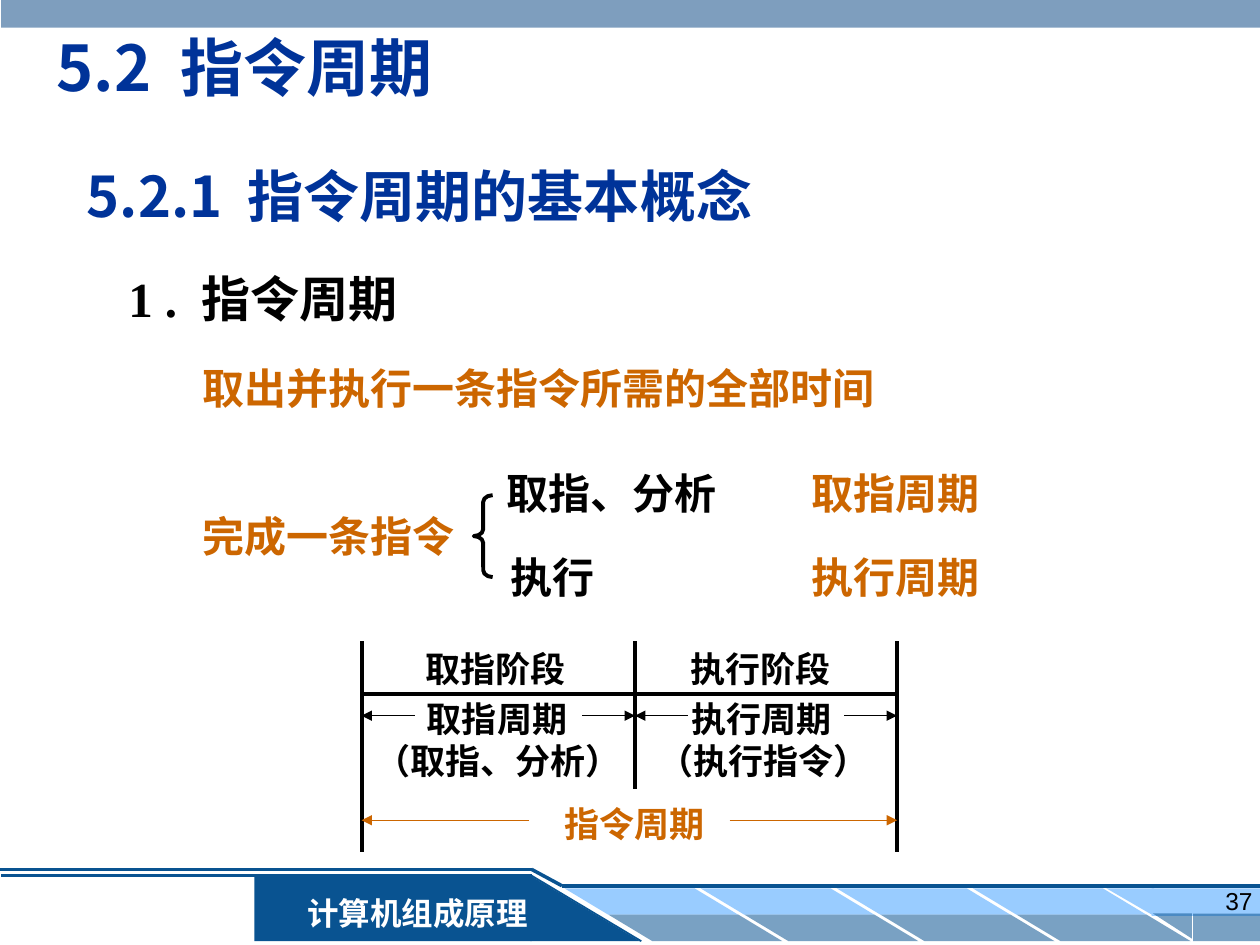
from lxml import etree
from pptx import Presentation
from pptx import util as u
from pptx.dml.color import RGBColor
from pptx.enum import shapes, text
from pptx.oxml import ns

BLACK = RGBColor(0, 0, 0)
WHITE = RGBColor(255, 255, 255)
TITLE_BLUE = RGBColor(0x00, 0x33, 0x99)
ORANGE = RGBColor(0xCC, 0x66, 0x00)
NAVY = RGBColor(0x09, 0x53, 0x91)
SKY = RGBColor(0x99, 0xCC, 0xFF)
STEEL = RGBColor(0x33, 0x66, 0x99)
SERIF, SANS = "Times New Roman", "Noto Sans CJK SC"
SHAPE = shapes.MSO_SHAPE

presentation = Presentation()
presentation.slide_width = u.Inches(10)
presentation.slide_height = u.Inches(7.5)
slide = presentation.slides.add_slide(presentation.slide_layouts[5])


def write(content, at, size=24, color=BLACK, font=SERIF, bold=True, wrap=True,
          align=text.PP_ALIGN.LEFT, anchor=text.MSO_ANCHOR.TOP, box=None):
    box = box or slide.shapes.add_textbox(0, 0, 0, 0)
    box.left, box.top, box.width, box.height = map(u.Inches, at)
    frame = box.text_frame
    frame.word_wrap = wrap
    frame.vertical_anchor = anchor
    paragraph = frame.paragraphs[0]
    paragraph.alignment = align
    run = paragraph.add_run()
    run.text = content
    run.font.size, run.font.bold = u.Pt(size), bold
    run.font.color.rgb = color
    run.font.name = font
    east_asian = etree.SubElement(run.font._element, ns.qn("a:ea"))
    east_asian.set("typeface", SANS)


def draw(kind, at, color, alpha=None, flip="", adjust=None, width=None, arrow=False):
    """Draw a filled preset, or a line from (x1, y1) to (x2, y2) if kind is "line"."""
    if kind == "line":
        line = slide.shapes.add_connector(shapes.MSO_CONNECTOR.STRAIGHT, *map(u.Inches, at))
        line.line.color.rgb, line.line.width = color, u.Pt(width)
        if arrow:
            etree.SubElement(line.line._get_or_add_ln(), ns.qn("a:tailEnd")).set("type", "triangle")
        etree.SubElement(line._element.spPr, ns.qn("a:effectLst"))
        return
    shape = slide.shapes.add_shape(kind, *map(u.Inches, at))
    shape.shadow.inherit = False
    if adjust is not None:
        shape.adjustments[0] = adjust
    if width:
        shape.fill.background()
        shape.line.color.rgb, shape.line.width = color, u.Pt(width)
    else:
        shape.fill.solid()
        shape.fill.fore_color.rgb = color
        shape.line.fill.background()
    if alpha:
        tone = shape._element.spPr.find(ns.qn("a:solidFill"))[0]
        etree.SubElement(tone, ns.qn("a:alpha")).set("val", str(alpha * 1000))
    for axis in flip:
        shape._element.spPr.xfrm.set("flip" + axis, "1")


# Footer and top band
draw(SHAPE.RECTANGLE, (2.02, 6.95, 2.2, 0.52), NAVY)
for ends, width in (((5.09, 7.47, 4.22, 6.95), 1), ((4.22, 6.95, 0.01, 6.95), 1.5),
                    ((0, 6.9, 4.22, 6.9), 2)):
    draw("line", ends, NAVY, width=width)
for tile in range(4):
    left = 4.48 + 1.08 * tile
    draw(SHAPE.PARALLELOGRAM, (left, 7.05, 1.38, 0.21), SKY, flip="H", adjust=1.66)
    draw(SHAPE.PARALLELOGRAM, (left + 0.35, 7.26, 1.38, 0.21), NAVY, 54, "H", 1.66)
draw(SHAPE.RECTANGLE, (9.14, 7.05, 0.86, 0.22), SKY)
draw(SHAPE.RIGHT_TRIANGLE, (8.78, 7.05, 0.38, 0.22), SKY, flip="HV")
draw(SHAPE.RECTANGLE, (9.47, 7.25, 0.53, 0.22), NAVY, 54)
draw(SHAPE.RIGHT_TRIANGLE, (9.15, 7.25, 0.31, 0.2), NAVY, 54, "HV")
draw("line", (4.46, 7.03, 10, 7.03), NAVY, width=2)
draw(SHAPE.RIGHT_TRIANGLE, (4.21, 6.95, 0.87, 0.52), NAVY)
draw("line", (4.22, 6.9, 4.46, 7.03), NAVY, width=2)
write("计算机组成原理", (2.29, 7.05, 2.05, 0.4), 18, WHITE, align=text.PP_ALIGN.CENTER)
draw(SHAPE.RECTANGLE, (0.01, 0, 9.99, 0.22), STEEL, 63)
write("37", (7.71, 6.98, 2.33, 0.52), 14, font="Arial", bold=False, align=text.PP_ALIGN.RIGHT)

# Headings
write("5.2  指令周期", (0.35, 0, 8.5, 1.06), 36, TITLE_BLUE, SANS,
      anchor=text.MSO_ANCHOR.MIDDLE, box=slide.shapes.title)
write("5.2.1  指令周期的基本概念", (0.59, 1.23, 6.25, 0.64), 32, TITLE_BLUE, SANS)
write("1 .  指令周期", (0.92, 2.08, 6.25, 0.57), 28)
write("取出并执行一条指令所需的全部时间", (1.51, 2.83, 6.25, 0.5), color=ORANGE)

# Two steps of one instruction
write("完成一条指令", (1.51, 4, 3, 0.5), color=ORANGE)
draw(SHAPE.LEFT_BRACE, (3.76, 3.93, 0.15, 0.65), BLACK, adjust=0.36, width=2.25)
for top, left, step, cycle in ((3.66, 3.92, "取指、分析", "取指周期"),
                               (4.33, 3.95, "执行", "执行周期")):
    write(step, (left, top, 2.17, 0.5))
    write(cycle, (6.34, top, 2, 0.5), color=ORANGE)

# Timeline: two phases between three ticks
START, MIDDLE, END = 2.87, 5.04, 7.12
TOP, AXIS, PHASE_ROW, TOTAL_ROW, BOTTOM = 5.09, 5.51, 5.68, 6.51, 6.76
draw("line", (START, AXIS, END, AXIS), BLACK, width=2.25)
for x, bottom in ((START, BOTTOM), (MIDDLE, 6.26), (END, BOTTOM)):
    draw("line", (x, TOP, x, bottom), BLACK, width=2.25)

phases = (
    (START, MIDDLE, 3.28, "取指阶段", "取指周期", 2.88, 2.15, "（取指、分析）"),
    (MIDDLE, END, 5.38, "执行阶段", "执行周期", 5.13, 1.87, "（执行指令）"),
)
for left, right, label_left, stage, cycle, note_left, note_width, note in phases:
    write(stage, (label_left, TOP, 1.31, 0.44), 20, wrap=False)
    write(cycle, (label_left + 0.01, 5.49, 1.31, 0.44), 20, wrap=False)
    write(note, (note_left, 5.82, note_width, 0.44), 20, wrap=False)
write("指令周期", (4.38, 6.32, 1.31, 0.44), 20, ORANGE, wrap=False)

spans = ((START, MIDDLE, PHASE_ROW, 0.42, BLACK), (MIDDLE, END, PHASE_ROW, 0.42, BLACK),
         (START, END, TOTAL_ROW, 1.33, ORANGE))
for left, right, y, length, color in spans:
    draw("line", (left + length, y, left, y), color, width=0.75, arrow=True)
    draw("line", (right - length, y, right, y), color, width=0.75, arrow=True)

presentation.save("out.pptx")
